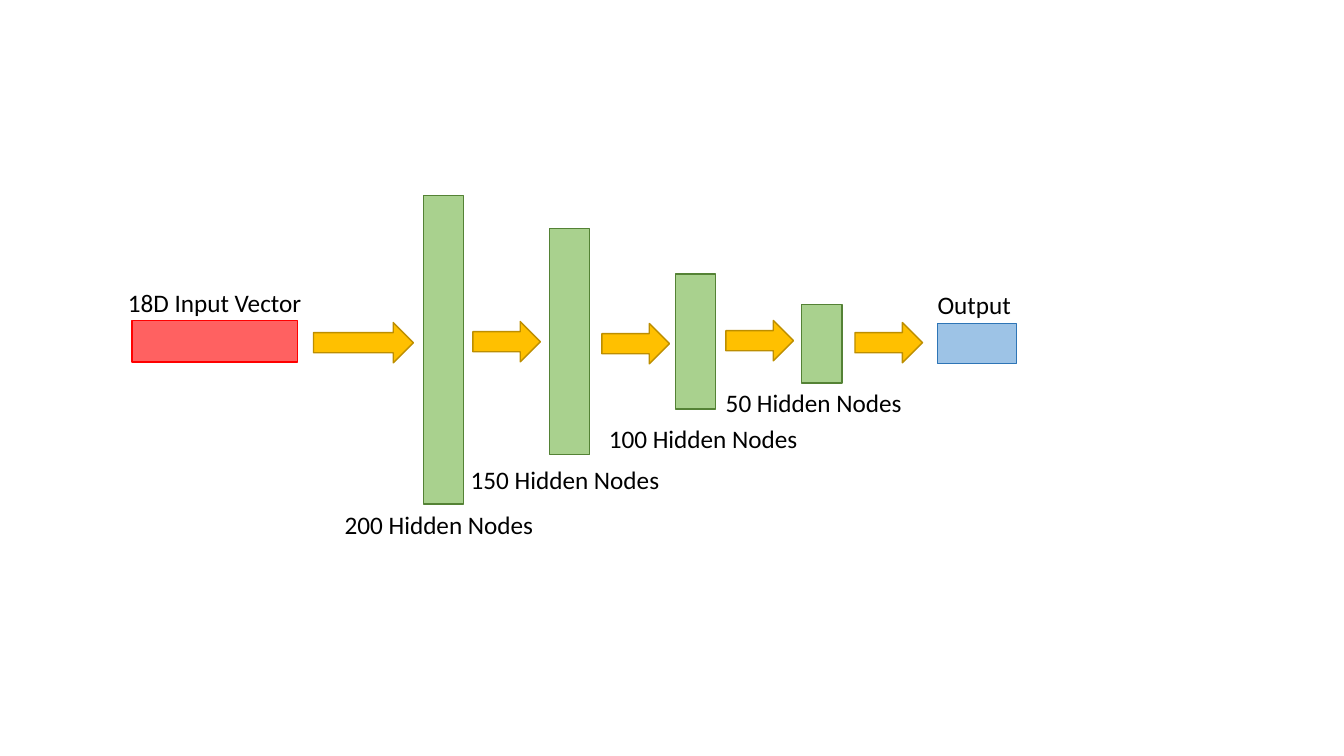
from dataclasses import dataclass
from pptx import Presentation
from pptx.dml.color import RGBColor
from pptx.enum.shapes import MSO_SHAPE
from pptx.util import Inches, Pt

RECT = MSO_SHAPE.RECTANGLE
ARROW = MSO_SHAPE.RIGHT_ARROW


@dataclass(frozen=True)
class Theme:
    input: tuple = ("FF6161", "FF0000")
    hidden: tuple = ("A9D18E", "548235")
    output: tuple = ("9DC3E6", "2E75B6")
    arrow: tuple = ("FFC000", "BD8E00")
    text: str = "000000"
    font: str = "Calibri"
    size: int = 18


theme = Theme()
deck = Presentation()
deck.slide_width = Inches(13.33)
deck.slide_height = Inches(7.5)
slide = deck.slides.add_slide(deck.slide_layouts[6])


def add_block(kind, left, top, width, height, colors):
    block = slide.shapes.add_shape(
        kind, Inches(left), Inches(top), Inches(width), Inches(height))
    fill, line = colors
    block.shadow.inherit = False
    block.fill.solid()
    block.fill.fore_color.rgb = RGBColor.from_string(fill)
    block.line.color.rgb = RGBColor.from_string(line)
    block.line.width = Pt(1)


def add_label(text, left, top, width):
    box = slide.shapes.add_textbox(
        Inches(left), Inches(top), Inches(width), Inches(0.4))
    frame = box.text_frame
    frame.word_wrap = True
    para = frame.paragraphs[0]
    para.text = text
    para.font.name = theme.font
    para.font.size = Pt(theme.size)
    para.font.color.rgb = RGBColor.from_string(theme.text)


add_block(RECT, 1.31, 3.18, 1.64, 0.41, theme.input)
add_label("18D Input Vector", 1.17, 2.8, 1.98)

layers = [
    (200, 1.94, 3.06, 3.32, 5),
    (150, 2.27, 2.24, 4.57, 4.56),
    (100, 2.72, 1.34, 5.94, 4.15),
    (50, 3.02, 0.78, 7.1, 3.79),
]
for i, (nodes, top, height, left, below) in enumerate(layers):
    add_block(RECT, 4.2 + 1.25 * i, top, 0.4, height, theme.hidden)
    add_label(f"{nodes} Hidden Nodes", left, below, 2.16)

add_block(RECT, 9.3, 3.21, 0.78, 0.4, theme.output)
add_label("Output", 9.2, 2.82, 0.98)

arrows = [
    (3.11, 3.2, 0.99),
    (4.69, 3.19, 0.67),
    (5.97, 3.21, 0.67),
    (7.2, 3.18, 0.67),
    (8.48, 3.2, 0.67),
]
for left, top, width in arrows:
    add_block(ARROW, left, top, width, 0.4, theme.arrow)

deck.save("out.pptx")
